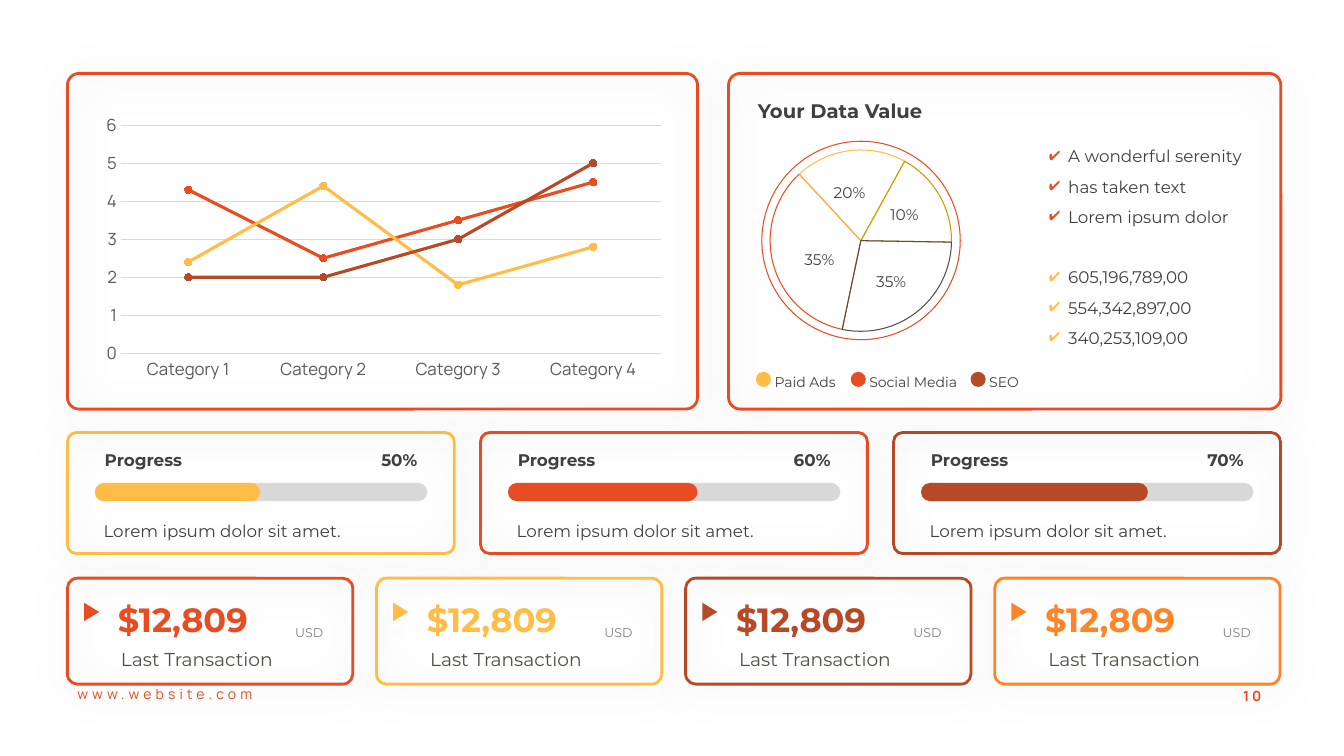
from lxml.etree import SubElement
from pptx import Presentation
from pptx.chart.data import CategoryChartData
from pptx.dml.color import RGBColor
from pptx.enum.chart import XL_CHART_TYPE, XL_MARKER_STYLE, XL_TICK_MARK
from pptx.enum.shapes import MSO_SHAPE
from pptx.enum.text import MSO_ANCHOR, MSO_AUTO_SIZE, PP_ALIGN
from pptx.oxml.ns import qn
from pptx.util import Cm, Pt

COLORS = {
    "red": "E84C22", "yellow": "FFBD47", "brown": "B64926", "orange": "FF8427",
    "gold": "CC9900", "olive": "505046", "text": "404040", "heading": "3F3F3F",
    "gray": "808080", "axis": "595959", "grid": "D9D9D9", "track": "D8D8D8",
    "white": "FFFFFF", "black": "000000",
}
CARD_SHADOW = {"alpha": 20, "blur": 30, "dist": 4.5, "angle": 67}
ARROW_SHADOW = {"alpha": 8, "blur": 46.1, "dist": 13.5, "angle": 93}
NARROW, WIDE = (0.25, 0.13), (0.33, 0.17)
BODY = {"name": "Montserrat", "size": Pt(12)}
BOLD = {**BODY, "bold": True}
HEADING = {**BOLD, "size": Pt(14)}
AMOUNT = {**BOLD, "size": Pt(24)}
CAPTION = {**BODY, "size": Pt(13.3)}
UNIT = {**BODY, "size": Pt(9)}
LEGEND = {**BODY, "size": Pt(10)}
SLICE_LABEL = {**BODY, "size": Pt(11)}
FOOTER = {"name": "Manrope", "size": Pt(10)}
PAGE_NUMBER = {**FOOTER, "bold": True}


def rgb(name):
    return RGBColor.from_string(COLORS[name])


def set_attrs(target, values):
    for key, value in values.items():
        setattr(target, key, value)


def add_shadow(sp, alpha, blur, dist, angle):
    effects = sp._element.spPr.find(qn("a:effectLst"))
    shadow = SubElement(effects, qn("a:outerShdw"), blurRad=str(Pt(blur)),
                        dist=str(Pt(dist)), dir=str(angle * 60000), rotWithShape="0")
    color = SubElement(shadow, qn("a:srgbClr"), val=COLORS["black"])
    SubElement(color, qn("a:alpha"), val=str(alpha * 1000))


def add_figure(shapes, kind, box, fill=None, line=None, width=0.75, adj=(), shadow=None):
    sp = shapes.add_shape(kind, *map(Cm, box))
    for i, value in enumerate(adj):
        sp.adjustments[i] = value
    if fill:
        sp.fill.solid()
        sp.fill.fore_color.rgb = rgb(fill)
    else:
        sp.fill.background()
    if line:
        sp.line.color.rgb = rgb(line)
        sp.line.width = Pt(width)
    else:
        sp.line.fill.background()
    sp.shadow.inherit = False
    if shadow:
        add_shadow(sp, **shadow)
    return sp


def add_card(shapes, box, color, radius):
    add_figure(shapes, MSO_SHAPE.ROUNDED_RECTANGLE, box, line=color, width=2,
               adj=(radius,), shadow=CARD_SHADOW)


def add_text(shapes, box, lines, font, color="text", inset=NARROW, align=PP_ALIGN.LEFT,
             spacing=None, anchor=MSO_ANCHOR.TOP, wrap=True, grow=True, tracking=0, bullet=None):
    tf = shapes.add_textbox(*map(Cm, box)).text_frame
    side, top = map(Cm, inset)
    set_attrs(tf, {
        "word_wrap": wrap, "vertical_anchor": anchor,
        "margin_left": side, "margin_right": side, "margin_top": top, "margin_bottom": top,
        "auto_size": MSO_AUTO_SIZE.SHAPE_TO_FIT_TEXT if grow else MSO_AUTO_SIZE.NONE,
    })
    for i, line in enumerate(lines):
        p = tf.add_paragraph() if i else tf.paragraphs[0]
        set_attrs(p, {"alignment": align, "line_spacing": spacing})
        if bullet:
            add_check(p, bullet)
        r = p.add_run()
        r.text = line
        set_attrs(r.font, font)
        r.font.color.rgb = rgb(color)
        if tracking:
            r._r.get_or_add_rPr().set("spc", str(tracking * 100))


def add_check(p, color):
    props = p._p.get_or_add_pPr()
    props.set("marL", str(Cm(0.48)))
    props.set("indent", str(-Cm(0.48)))
    SubElement(SubElement(props, qn("a:buClr")), qn("a:srgbClr"), val=COLORS[color])
    SubElement(props, qn("a:buChar"), char="✔")


def add_line_chart(shapes, box):
    series = [("Series 1", (4.3, 2.5, 3.5, 4.5), "red"),
              ("Series 2", (2.4, 4.4, 1.8, 2.8), "yellow"),
              ("Series 3", (2, 2, 3, 5), "brown")]
    data = CategoryChartData()
    data.categories = [f"Category {n}" for n in range(1, 5)]
    for name, values, _ in series:
        data.add_series(name, values)
    chart = shapes.add_chart(XL_CHART_TYPE.LINE_MARKERS, *map(Cm, box), data).chart
    set_attrs(chart, {"has_legend": False, "has_title": False})
    set_attrs(chart.font, {"name": "Manrope", "size": Pt(10)})
    chart.plots[0].vary_by_categories = False
    for plotted, (_, _, color) in zip(chart.plots[0].series, series):
        plotted.smooth = False
        plotted.format.line.color.rgb = rgb(color)
        plotted.format.line.width = Pt(2.25)
        set_attrs(plotted.marker, {"style": XL_MARKER_STYLE.CIRCLE, "size": 5})
        plotted.marker.format.fill.solid()
        plotted.marker.format.fill.fore_color.rgb = rgb(color)
        plotted.marker.format.line.color.rgb = rgb(color)
    for axis in (chart.category_axis, chart.value_axis):
        set_attrs(axis, {"major_tick_mark": XL_TICK_MARK.NONE,
                         "minor_tick_mark": XL_TICK_MARK.NONE})
        set_attrs(axis.tick_labels.font, {"name": "Manrope", "size": Pt(12)})
        axis.tick_labels.font.color.rgb = rgb("axis")
    set_attrs(chart.value_axis, {"minimum_scale": 0, "maximum_scale": 6, "major_unit": 1})
    chart.value_axis.format.line.fill.background()
    for line in (chart.category_axis.format.line, chart.value_axis.major_gridlines.format.line):
        line.color.rgb = rgb("grid")
        line.width = Pt(0.75)


def add_progress(shapes, x, color, percent, filled):
    bar = MSO_SHAPE.ROUNDED_RECTANGLE
    add_card(shapes, (x, 10.9, 9.75, 3.05), color, 0.076)
    for width, fill in ((8.38, "track"), (filled, color)):
        add_figure(shapes, bar, (x + 0.69, 12.17, width, 0.46), fill=fill, adj=(0.5,))
    add_text(shapes, (x + 6.05, 11.25, 3.02, 0.71), [percent], BOLD,
             align=PP_ALIGN.RIGHT, spacing=0.9)
    add_text(shapes, (x + 0.69, 11.25, 3.02, 0.71), ["Progress"], BOLD, spacing=0.9)
    add_text(shapes, (x + 0.66, 12.73, 8.38, 1.02), ["Lorem ipsum dolor sit amet."],
             BODY, spacing=1.5)


def add_transaction(shapes, x, y, color):
    add_card(shapes, (x, y, 7.19, 2.67), color, 0.094)
    arrow = add_figure(shapes, MSO_SHAPE.ISOSCELES_TRIANGLE, (x + 0.38, y + 0.66, 0.46, 0.38),
                       fill=color, shadow=ARROW_SHADOW)
    arrow.rotation = 90
    for dx, dy, w, h, text, font, ink in (
            (0.94, 0.19, 5.82, 1.52, "$12,809", AMOUNT, color),
            (1.02, 1.5, 4.62, 0.99, "Last Transaction", CAPTION, "olive"),
            (5.41, 0.94, 1.75, 0.79, "USD", UNIT, "gray")):
        add_text(shapes, (x + dx, y + dy, w, h), [text], font, ink, WIDE, spacing=1.15)


def add_legend_item(shapes, x, width, label, color):
    group = shapes.add_group_shape().shapes
    add_text(group, (x + 0.14, 9.17, width, 0.86), [label], LEGEND, inset=WIDE, spacing=1.2)
    add_figure(group, MSO_SHAPE.OVAL, (x, 9.37, 0.38, 0.38), fill=color)


def add_pie(shapes):
    add_figure(shapes, MSO_SHAPE.OVAL, (19.2, 3.56, 5, 5), fill="white", line="red")
    angles = (101.83, 227.2, 298.9, 0.95, 101.83)
    for start, end, color in zip(angles, angles[1:], ("red", "yellow", "gold", "olive")):
        add_figure(shapes, MSO_SHAPE.PIE, (19.41, 3.78, 4.57, 4.57), line=color,
                   adj=(start * 0.6, end * 0.6))
    for x, y, label in ((19.81, 6.1, "35%"), (20.57, 4.42, "20%"),
                        (21.95, 4.98, "10%"), (21.62, 6.65, "35%")):
        add_text(shapes, (x, y, 1.68, 0.86), [label], SLICE_LABEL, inset=WIDE,
                 align=PP_ALIGN.CENTER, anchor=MSO_ANCHOR.MIDDLE, grow=False)


def add_data_panel(shapes):
    add_card(shapes, (18.36, 1.85, 13.92, 8.46), "red", 0.035)
    add_text(shapes, (18.85, 2.18, 6.53, 1.04), ["Your Data Value"], HEADING, "heading",
             spacing=1.3)
    for item in ((19.05, 2.44, "Paid Ads", "yellow"), (21.44, 3, "Social Media", "red"),
                 (24.46, 1.57, "SEO", "brown")):
        add_legend_item(shapes, *item)
    for y, color, lines in (
            (3.3, "red", ("A wonderful serenity", "has taken text", "Lorem ipsum dolor")),
            (6.35, "yellow", ("605,196,789,00", "554,342,897,00", "340,253,109,00"))):
        add_text(shapes, (26.19, y, 5.79, 2.57), lines, BODY, spacing=1.5, bullet=color)
    add_pie(shapes)


def main():
    prs = Presentation()
    prs.slide_width, prs.slide_height = Cm(33.87), Cm(19.05)
    s = prs.slides.add_slide(prs.slide_layouts[6])
    add_text(s.shapes, (30.94, 17.2, 1.24, 0.69), ["10"], PAGE_NUMBER, "red",
             align=PP_ALIGN.CENTER, anchor=MSO_ANCHOR.MIDDLE, wrap=False, tracking=2)
    add_text(s.shapes, (1.7, 17.15, 7.24, 0.69), ["www.website.com"], FOOTER, "red", tracking=3)
    for i, item in enumerate((("yellow", "50%", 4.17), ("red", "60%", 4.78),
                              ("brown", "70%", 5.72))):
        add_progress(s.shapes, 1.7 + 10.41 * i, *item)
    add_card(s.shapes, (1.7, 1.85, 15.88, 8.46), "red", 0.035)
    add_line_chart(s.shapes, (2.39, 2.72, 14.55, 7.01))
    add_data_panel(s.shapes)
    for i, color in enumerate(("red", "yellow", "brown", "orange")):
        add_transaction(s.shapes, 1.7 + 7.79 * i, 14.57, color)
    prs.save("out.pptx")


if __name__ == "__main__":
    main()
